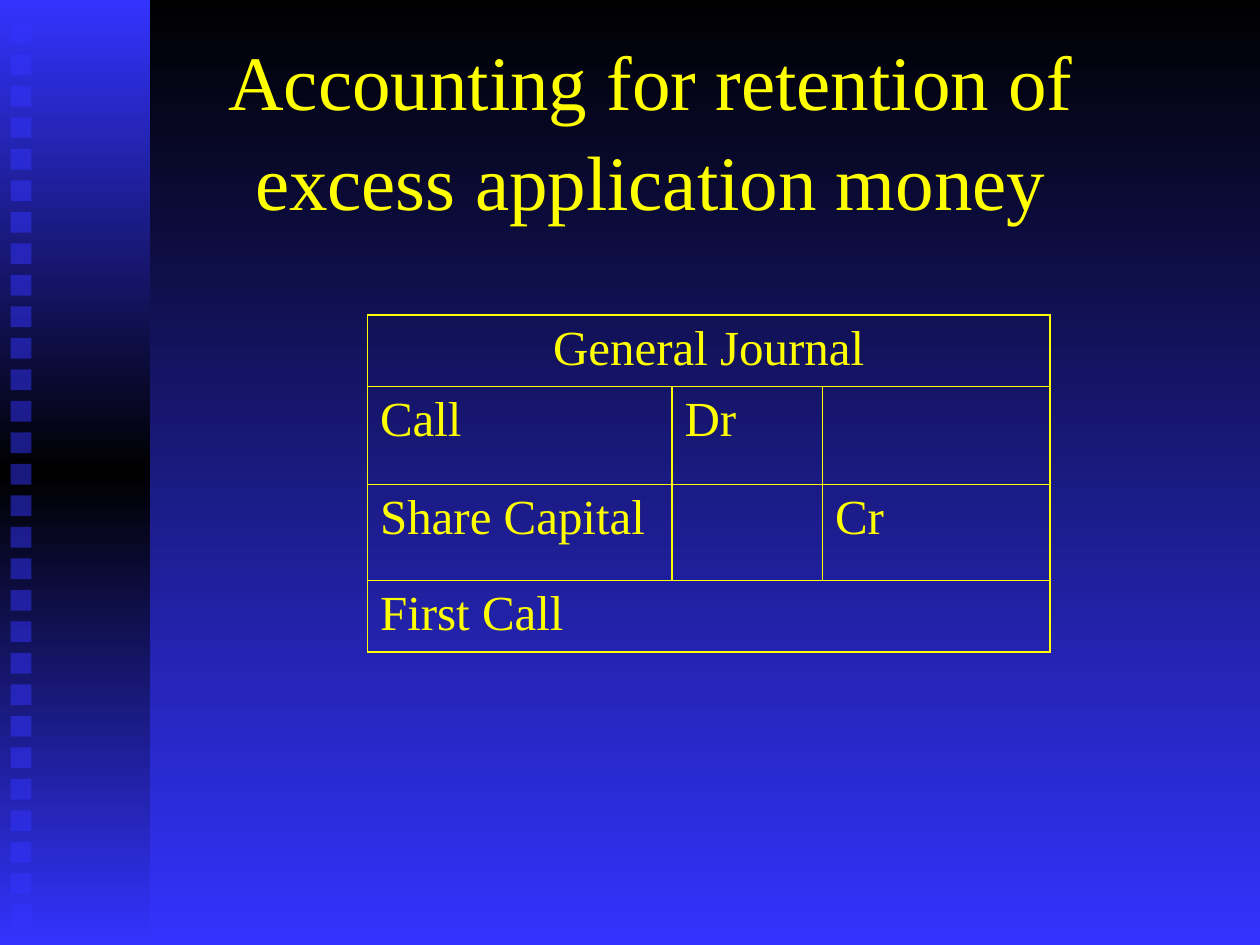
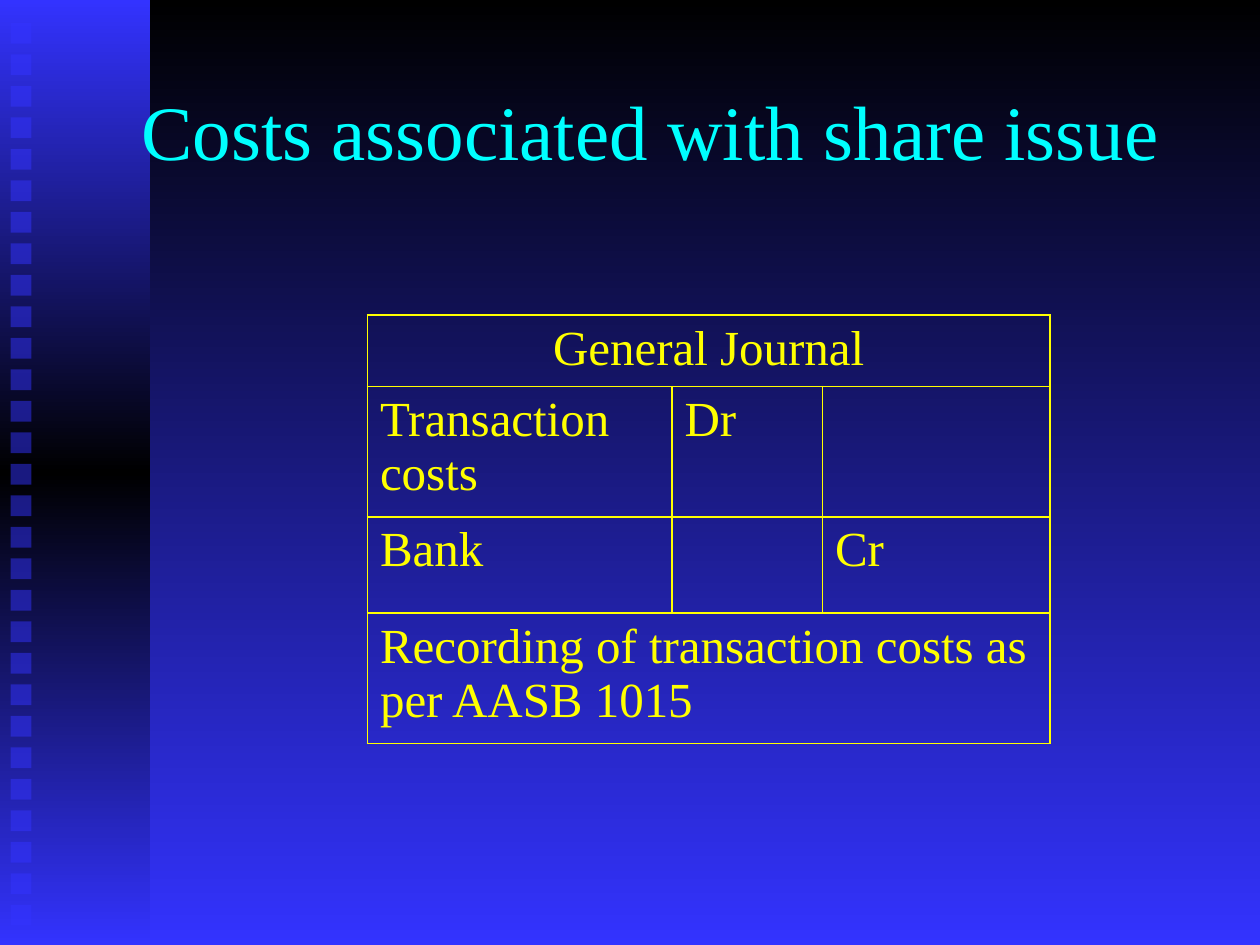
from lxml.etree import SubElement
from pptx import Presentation
from pptx.dml.color import RGBColor
from pptx.enum.shapes import MSO_SHAPE
from pptx.enum.text import MSO_ANCHOR, PP_ALIGN
from pptx.oxml.ns import qn
from pptx.util import Pt

HUES = {"black": "000000", "blue": "3333FF", "yellow": "FFFF00", "cyan": "00FFFF"}
FACE = "Times New Roman"
WIDE, HIGH = 720, 540
BAND = (0, 0, 86, HIGH)
TITLE = (66, 24, 612, 96)
GRID = (210, 180)
COLS = (174, 86, 130)

SLIDES = [
    {
        "title": "Accounting for retention of excess application money",
        "hue": "yellow",
        "debit": "Call",
        "credit": "Share Capital",
        "note": "First Call",
        "rows": (38, 56, 55, 38),
    },
    {
        "title": "Costs associated with share issue",
        "hue": "cyan",
        "debit": "Transaction costs",
        "credit": "Bank",
        "note": "Recording of transaction costs as per AASB 1015",
        "rows": (38, 69, 55, 69),
    },
]


def tint(name):
    return RGBColor.from_string(HUES[name])


def put(item, values):
    for key, value in values.items():
        setattr(item, key, value)


def shade(fill, node, names):
    """Fill from top to bottom with evenly spaced colours."""
    fill.gradient()
    fill.gradient_angle = 270
    stops = node.find(".//" + qn("a:gsLst"))
    stops.clear()
    for i, name in enumerate(names):
        stop = SubElement(stops, qn("a:gs"), pos=str(100000 * i // (len(names) - 1)))
        SubElement(stop, qn("a:srgbClr"), val=HUES[name])


def write(frame, text, size, hue, align):
    para = frame.paragraphs[0]
    para.alignment = align
    run = para.add_run()
    run.text = text
    put(run.font, {"name": FACE, "size": Pt(size)})
    run.font.color.rgb = tint(hue)
    return para


def add_rect(group, left, top, width, height):
    rect = group.shapes.add_shape(
        MSO_SHAPE.RECTANGLE, Pt(left), Pt(top), Pt(width), Pt(height))
    rect.shadow.inherit = False
    rect.line.fill.background()
    return rect


def add_band(slide, box, count=29, step=18, size=12):
    """Side band with a column of half-clear squares."""
    left, top, width, height = box
    group = slide.shapes.add_group_shape()
    band = add_rect(group, left, top, width, height)
    shade(band.fill, band.element, ("blue", "black", "blue"))
    for i in range(count):
        square = add_rect(group, left + 6, top + 13 + i * step, size, size)
        square.fill.solid()
        square.fill.fore_color.rgb = tint("blue")
        color = square.element.spPr.find(".//" + qn("a:srgbClr"))
        SubElement(color, qn("a:alpha"), val="50000")


def add_title(slide, box, text, hue):
    frame = slide.shapes.add_textbox(*map(Pt, box)).text_frame
    put(frame, {"word_wrap": True, "vertical_anchor": MSO_ANCHOR.MIDDLE})
    para = write(frame, text, 44, hue, PP_ALIGN.CENTER)
    para.line_spacing = 1.08


def frame_cell(cell):
    """Clear the fill of a cell and rule its four sides."""
    cell.fill.background()
    props = cell._tc.get_or_add_tcPr()
    for i, side in enumerate("LRTB"):
        line = SubElement(props, qn("a:ln" + side), w=str(Pt(1)))
        solid = SubElement(line, qn("a:solidFill"))
        SubElement(solid, qn("a:srgbClr"), val=HUES["yellow"])
        props.insert(i, line)


def add_journal(slide, spot, data):
    left, top = spot
    rows = data["rows"]
    table = slide.shapes.add_table(
        len(rows), len(COLS), Pt(left), Pt(top), Pt(sum(COLS)), Pt(sum(rows))).table
    put(table, {"first_row": False, "horz_banding": False})
    for col, width in zip(table.columns, COLS):
        col.width = Pt(width)
    for row, height in zip(table.rows, rows):
        row.height = Pt(height)
    for cell in table.iter_cells():
        frame_cell(cell)
    last = len(COLS) - 1
    for i in (0, len(rows) - 1):
        table.cell(i, 0).merge(table.cell(i, last))
    texts = {
        (0, 0): "General Journal",
        (1, 0): data["debit"],
        (1, 1): "Dr",
        (2, 0): data["credit"],
        (2, 2): "Cr",
        (3, 0): data["note"],
    }
    for (row, col), text in texts.items():
        align = PP_ALIGN.LEFT if row else PP_ALIGN.CENTER
        write(table.cell(row, col).text_frame, text, 28, "yellow", align)


def add_slide(deck, data):
    slide = deck.slides.add_slide(deck.slide_layouts[6])
    shade(slide.background.fill, slide.element, ("black", "blue"))
    add_band(slide, BAND)
    add_title(slide, TITLE, data["title"], data["hue"])
    add_journal(slide, GRID, data)


def main():
    deck = Presentation()
    put(deck, {"slide_width": Pt(WIDE), "slide_height": Pt(HIGH)})
    for data in SLIDES:
        add_slide(deck, data)
    deck.save("out.pptx")


if __name__ == "__main__":
    main()
